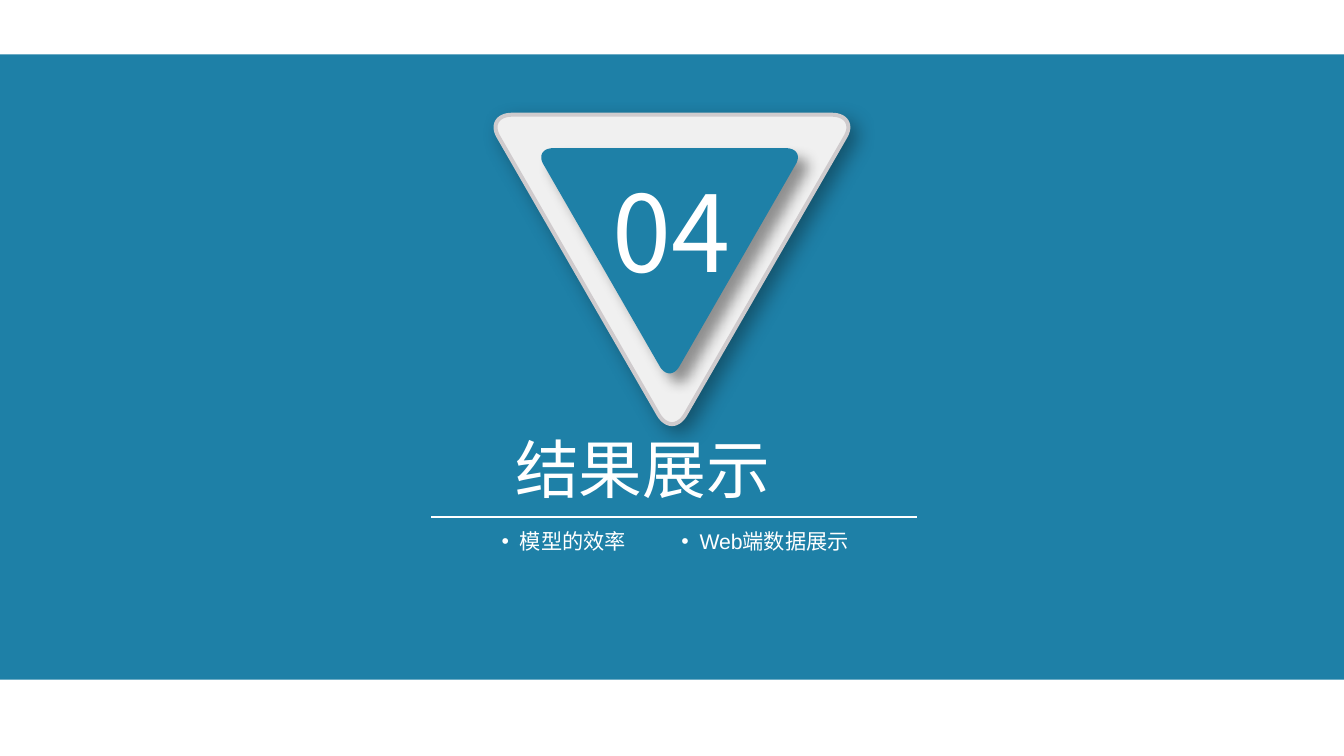
from dataclasses import dataclass

from lxml.etree import SubElement
from pptx import Presentation
from pptx.dml.color import RGBColor
from pptx.enum.shapes import MSO_CONNECTOR as Connector, MSO_SHAPE as Preset
from pptx.enum.text import MSO_ANCHOR as Anchor, PP_ALIGN as Align
from pptx.oxml.ns import qn
from pptx.util import Inches, Pt


@dataclass(frozen=True)
class Theme:
    blue: RGBColor = RGBColor(0x1E, 0x80, 0xA7)
    white: RGBColor = RGBColor(0xFF, 0xFF, 0xFF)
    pale: RGBColor = RGBColor(0xF0, 0xF0, 0xF0)
    rim: RGBColor = RGBColor(0xCF, 0xCB, 0xCD)
    font: str = "Arial"
    number_font: str = "Noto Sans CJK SC"
    number_size: int = 80
    title_size: int = 48
    item_size: int = 16


THEME = Theme()
SLIDE_WIDTH, SLIDE_HEIGHT = 14.06, 7.91

# Rounded triangle in fractions of its box: each side's end, then the corner curve
TRIANGLE_START = (0.021, 0.073)
TRIANGLE_CORNERS = [
    (TRIANGLE_START, (0, 0.034), (0.016, 0), (0.058, 0)),
    ((0.942, 0), (0.984, 0), (1, 0.034), (0.979, 0.073)),
    ((0.537, 0.96), (0.516, 1), (0.484, 1), (0.463, 0.96)),
]


def curve_points(corner, steps=16):
    """Points along a cubic curve."""
    points = []
    for step in range(steps + 1):
        t = step / steps
        weights = ((1 - t) ** 3, 3 * t * (1 - t) ** 2, 3 * t * t * (1 - t), t ** 3)
        points.append(tuple(sum(w * p[axis] for w, p in zip(weights, corner))
                            for axis in (0, 1)))
    return points


def add_shadow(shape, opacity, blur, distance):
    shape.shadow.inherit = False
    effects = shape._element.spPr.find(qn("a:effectLst"))
    shadow = SubElement(effects, qn("a:outerShdw"), blurRad=str(Pt(blur)),
                        dist=str(Pt(distance)), dir="2700000", algn="tl",
                        rotWithShape="0")
    color = SubElement(shadow, qn("a:srgbClr"), val="000000")
    SubElement(color, qn("a:alpha"), val=str(opacity * 1000))


def add_triangle(slide, box, fill, rim=None):
    left, top, width, height = box
    points = [(Inches(left + x * width), Inches(top + y * height))
              for corner in TRIANGLE_CORNERS for x, y in curve_points(corner)]
    builder = slide.shapes.build_freeform(*points[0])
    builder.add_line_segments(points[1:], close=True)
    shape = builder.convert_to_shape()
    shape.fill.solid()
    shape.fill.fore_color.rgb = fill
    if rim is None:
        shape.line.fill.background()
    else:
        shape.line.color.rgb = rim
        shape.line.width = Pt(3)
    return shape


def add_text(slide, box, text, size, font=THEME.font):
    """A white one-paragraph text box; returns its frame and paragraph."""
    frame = slide.shapes.add_textbox(*map(Inches, box)).text_frame
    frame.word_wrap = True
    paragraph = frame.paragraphs[0]
    run = paragraph.add_run()
    run.text = text
    run.font.size = Pt(size)
    run.font.name = font
    run.font.color.rgb = THEME.white
    SubElement(run._r.get_or_add_rPr(), qn("a:ea"), typeface=font)
    return frame, paragraph


def add_band(slide, box):
    band = slide.shapes.add_shape(Preset.RECTANGLE, *map(Inches, box))
    band.shadow.inherit = False
    band.fill.solid()
    band.fill.fore_color.rgb = THEME.blue
    band.line.fill.background()


def add_badge(slide, box, number):
    left, top, width, height = box
    # Pale outer and blue inner triangle
    outer = add_triangle(slide, box, THEME.pale, THEME.rim)
    add_shadow(outer, opacity=35, blur=15, distance=7)
    inner_box = (left + 0.49, top + 0.35, 2.75, 2.38)
    inner = add_triangle(slide, inner_box, THEME.blue)
    add_shadow(inner, opacity=40, blur=10, distance=10)
    # Section number
    number_box = (left + 0.34, top + 0.49, width - 0.68, 1.45)
    _, paragraph = add_text(slide, number_box, number,
                            THEME.number_size, THEME.number_font)
    paragraph.alignment = Align.CENTER
    paragraph.space_before = Pt(THEME.number_size * 0.2)


def add_heading(slide, box, title):
    left, top, width, height = box
    # Rule under the title
    rule_y = Inches(top + height + 0.11)
    rule = slide.shapes.add_connector(Connector.STRAIGHT, Inches(left + 0.15), rule_y,
                                      Inches(left + width - 0.2), rule_y)
    rule.line.color.rgb = THEME.white
    rule.line.width = Pt(2)
    SubElement(rule._element.spPr, qn("a:effectLst"))
    # Title
    frame, _ = add_text(slide, (left + 1.03, top, width - 1.03, height),
                        title, THEME.title_size)
    frame.margin_left = frame.margin_right = 0
    frame.margin_top = frame.margin_bottom = 0
    frame.vertical_anchor = Anchor.MIDDLE


def add_item(slide, box, text):
    _, paragraph = add_text(slide, box, text, THEME.item_size)
    properties = paragraph._p.get_or_add_pPr()
    indent = Inches(0.19)
    properties.set("marL", str(indent))
    properties.set("indent", str(-indent))
    SubElement(properties, qn("a:buFont"), typeface=THEME.font)
    SubElement(properties, qn("a:buChar"), char="•")


def build_section_slide(presentation):
    slide = presentation.slides.add_slide(presentation.slide_layouts[6])
    add_band(slide, (0, 0.57, SLIDE_WIDTH, 6.54))
    add_badge(slide, (5.14, 1.2, 3.78, 3.27), "04")
    add_heading(slide, (4.36, 4.49, 5.43, 0.81), "结果展示")
    for left, width, text in [(5.15, 1.6, "模型的效率"), (7.03, 1.95, "Web端数据展示")]:
        add_item(slide, (left, 5.48, width, 0.37), text)


def main():
    presentation = Presentation()
    presentation.slide_width = Inches(SLIDE_WIDTH)
    presentation.slide_height = Inches(SLIDE_HEIGHT)
    build_section_slide(presentation)
    presentation.save("out.pptx")


if __name__ == "__main__":
    main()
